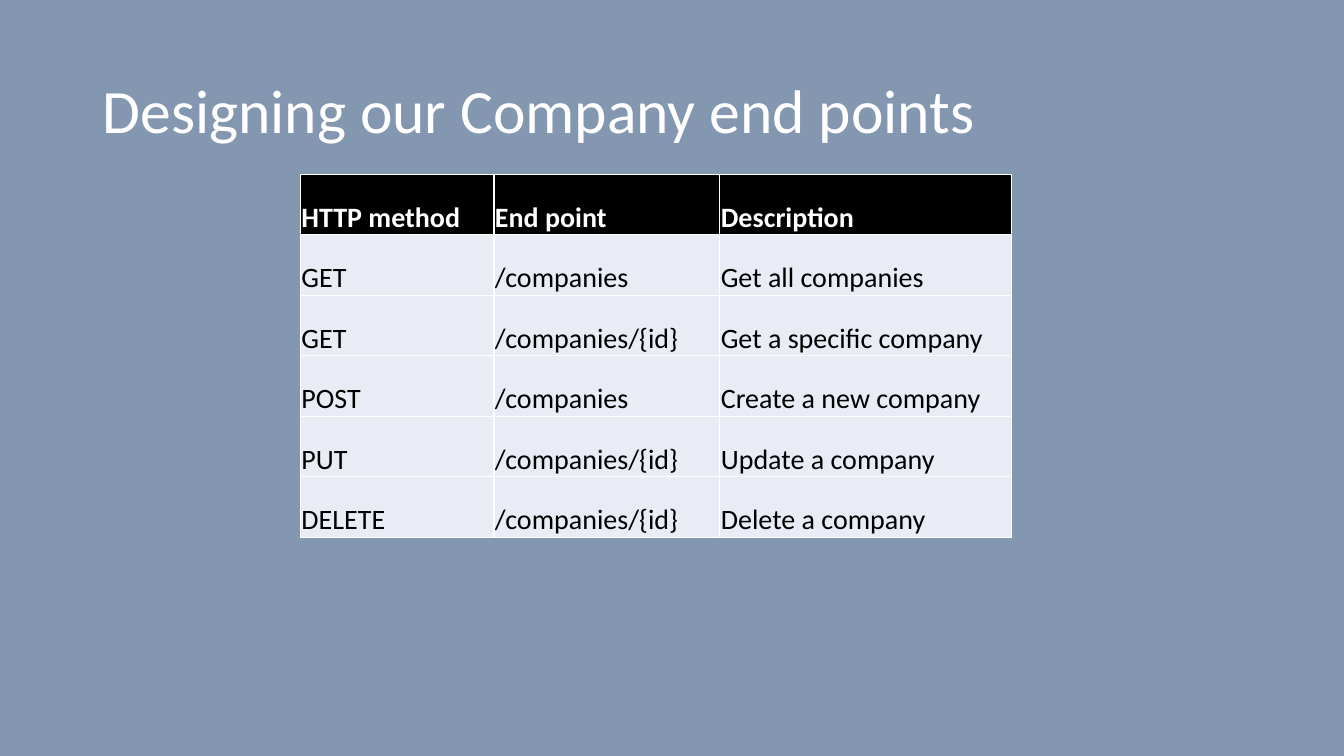
from lxml.etree import SubElement
from pptx import Presentation
from pptx.dml.color import RGBColor
from pptx.enum.text import MSO_ANCHOR, PP_ALIGN
from pptx.oxml.ns import qn
from pptx.util import Inches, Pt

SLATE = RGBColor(0x84, 0x97, 0xB0)
WHITE = RGBColor(0xFF, 0xFF, 0xFF)
BLACK = RGBColor(0x00, 0x00, 0x00)
PALE = RGBColor(0xE9, 0xEB, 0xF5)


class Deck:
    """Holds the style and the current slide."""
    font = "Calibri"
    title_size = Pt(44)
    cell_size = Pt(20)
    inset = Inches(0.01)

    def __init__(self, prs):
        self.s = prs.slides.add_slide(prs.slide_layouts[5])
        fill = self.s.background.fill
        fill.solid()
        fill.fore_color.rgb = SLATE

    def format(self, p, size, color, bold=False):
        p.alignment = PP_ALIGN.LEFT
        for r in p.runs:
            r.font.name = self.font
            r.font.size = size
            r.font.bold = bold
            r.font.color.rgb = color

    def title(self, text, left, top, width, height):
        sp = self.s.shapes.title
        sp.left, sp.top = Inches(left), Inches(top)
        sp.width, sp.height = Inches(width), Inches(height)
        tf = sp.text_frame
        tf.text = text
        tf.vertical_anchor = MSO_ANCHOR.MIDDLE
        p = tf.paragraphs[0]
        p.line_spacing = 0.9
        self.format(p, self.title_size, WHITE)

    def borders(self, cell, color, width):
        tcPr = cell._tc.get_or_add_tcPr()
        for side in ("a:lnL", "a:lnR", "a:lnT", "a:lnB"):
            ln = SubElement(tcPr, qn(side), w=str(width))
            fill = SubElement(ln, qn("a:solidFill"))
            SubElement(fill, qn("a:srgbClr"), val=str(color))

    def cell(self, cell, text, header):
        cell.text = text
        cell.vertical_anchor = MSO_ANCHOR.BOTTOM
        cell.margin_left = cell.margin_right = cell.margin_top = self.inset
        cell.margin_bottom = 0
        self.borders(cell, WHITE, Pt(1))
        cell.fill.solid()
        cell.fill.fore_color.rgb = BLACK if header else PALE
        self.format(cell.text_frame.paragraphs[0], self.cell_size,
                    WHITE if header else BLACK, bold=header)

    def table(self, rows, left, top, widths, row_height):
        table = self.s.shapes.add_table(
            len(rows), len(widths), Inches(left), Inches(top),
            Inches(sum(widths)), Inches(row_height * len(rows))).table
        for column, width in zip(table.columns, widths):
            column.width = Inches(width)
        for i, row in enumerate(rows):
            table.rows[i].height = Inches(row_height)
            for j, text in enumerate(row):
                self.cell(table.cell(i, j), text, header=i == 0)


prs = Presentation()
prs.slide_width, prs.slide_height = Inches(13.33), Inches(7.5)
deck = Deck(prs)

# Title
deck.title("Designing our Company end points", 0.92, 0.4, 12.14, 1.45)

# End point table
END_POINTS = [
    ("HTTP method", "End point", "Description"),
    ("GET", "/companies", "Get all companies"),
    ("GET", "/companies/{id}", "Get a specific company"),
    ("POST", "/companies", "Create a new company"),
    ("PUT", "/companies/{id}", "Update a company"),
    ("DELETE", "/companies/{id}", "Delete a company"),
]
deck.table(END_POINTS, 2.98, 1.73, widths=(1.92, 2.24, 2.89), row_height=0.6)

prs.save("out.pptx")
